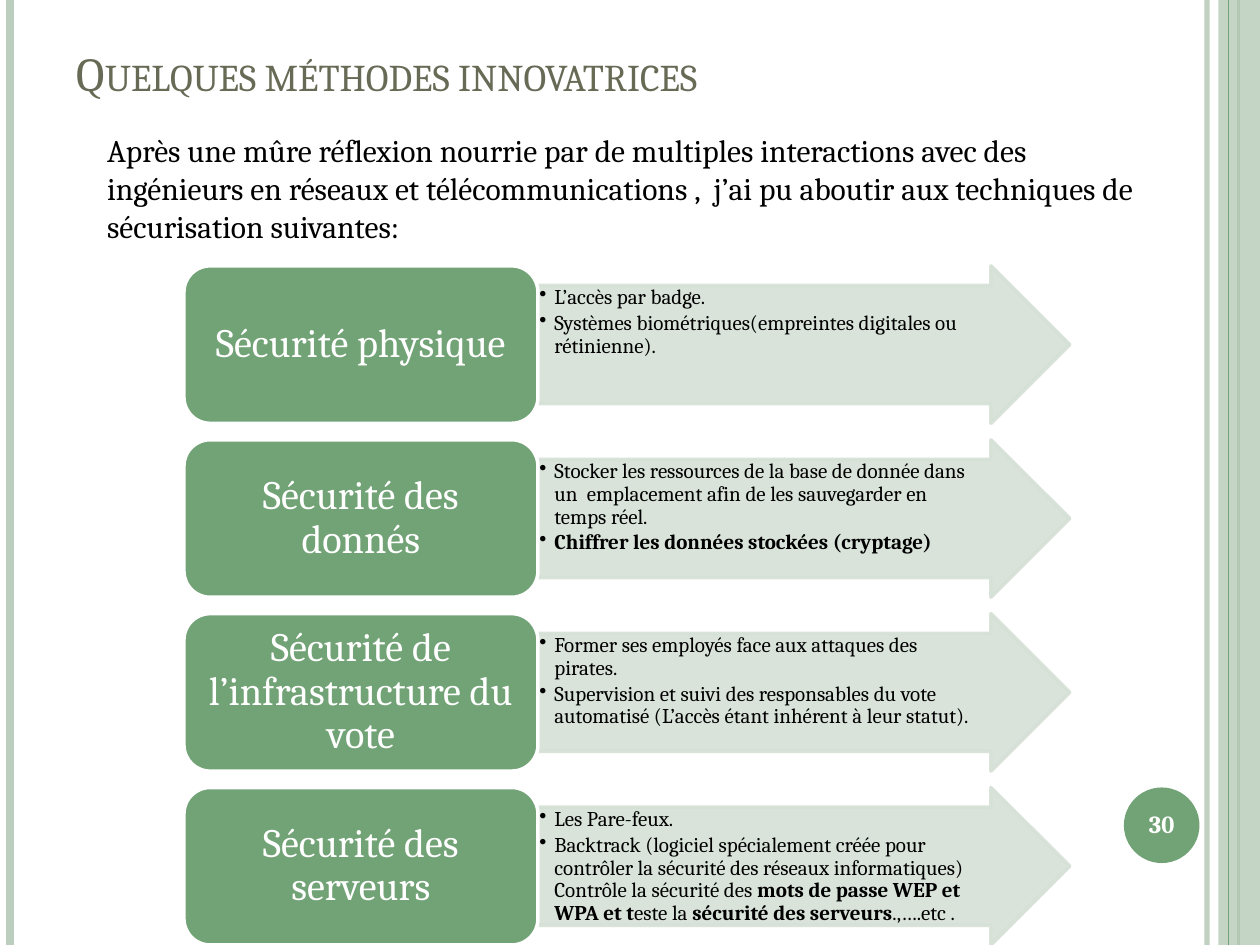
from lxml.etree import SubElement
from pptx import Presentation
from pptx.dml.color import RGBColor
from pptx.enum.shapes import MSO_CONNECTOR, MSO_SHAPE
from pptx.enum.text import MSO_ANCHOR, MSO_AUTO_SIZE, PP_ALIGN
from pptx.oxml.ns import qn
from pptx.util import Inches, Pt

FONT = "Cambria"
COLORS = {
    "green": "72A376",
    "stripe": "BCCEBD",
    "arrow": "D5E0D6",
    "title": "676A55",
    "black": "000000",
    "white": "FFFFFF",
}
# x, width in points, colour, opacity
FRAME_LINES = [
    (9.58, 3, "stripe", 93),
    (0.08, 4.5, "stripe", 100),
    (9.83, 1.5, "green", 100),
]
INTRO = (
    "Après une mûre réflexion nourrie par de multiples interactions avec des "
    "ingénieurs en réseaux et télécommunications ,  j’ai pu aboutir aux "
    "techniques de sécurisation suivantes:"
)
# Each bullet is a list of (text, bold) spans.
METHODS = [
    ("Sécurité physique", [
        [("L’accès par badge.", False)],
        [("Systèmes biométriques(empreintes digitales ou rétinienne).", False)],
    ]),
    ("Sécurité des donnés", [
        [("Stocker les ressources de la base de donnée dans un  emplacement "
          "afin de les sauvegarder en temps réel.", False)],
        [("Chiffrer les données stockées (cryptage)", True)],
    ]),
    ("Sécurité de l’infrastructure du vote", [
        [("Former ses employés face aux attaques des pirates.", False)],
        [("Supervision et suivi des responsables du vote automatisé "
          "(L’accès étant inhérent à leur statut).", False)],
    ]),
    ("Sécurité des serveurs", [
        [("Les Pare-feux.", False)],
        [("Backtrack (logiciel spécialement créée pour contrôler la sécurité "
          "des réseaux informatiques) Contrôle la sécurité des ", False),
         ("mots de passe WEP et WPA et t", True),
         ("este la", False),
         (" sécurité des serveurs", True),
         (".,….etc .", False)],
    ]),
]
ROW_TOP, ROW_STEP, ROW_HEIGHT = 2.11, 1.38, 1.25
LABEL_LEFT, LABEL_WIDTH, ARROW_WIDTH = 1.46, 2.81, 4.22


def paint(color_format, name, opacity=100):
    """Set a solid fill or line colour, with its opacity in percent."""
    color_format.solid()
    color_format.fore_color.rgb = RGBColor.from_string(COLORS[name])
    if opacity < 100:
        parent = color_format._xPr.find(qn("a:solidFill"))
        SubElement(parent[0], qn("a:alpha"), val=str(opacity * 1000))


def place(shape, left, top, width, height):
    shape.left, shape.top = Inches(left), Inches(top)
    shape.width, shape.height = Inches(width), Inches(height)


def style_span(span, size, color, bold=False):
    span.font.name = FONT
    span.font.size = Pt(size)
    span.font.bold = bold
    span.font.color.rgb = RGBColor.from_string(COLORS[color])


def set_insets(frame, left, top, right, bottom):
    frame.margin_left, frame.margin_top = Inches(left), Inches(top)
    frame.margin_right, frame.margin_bottom = Inches(right), Inches(bottom)


def add_vertical_line(page, x, width, color, opacity=100):
    line = page.shapes.add_connector(
        MSO_CONNECTOR.STRAIGHT, Inches(x), 0, Inches(x), Inches(7.5))
    line.line.width = Pt(width)
    paint(line.line.fill, color, opacity)
    SubElement(line._element.spPr, qn("a:effectLst"))


def add_block(page, kind, bounds, color, opacity=100, outline=None):
    """Add a filled preset shape; an outline is (colour, opacity)."""
    block = page.shapes.add_shape(kind, *map(Inches, bounds))
    block.shadow.inherit = False
    paint(block.fill, color, opacity)
    if outline:
        block.line.width = Pt(2)
        paint(block.line.fill, *outline)
    else:
        block.line.fill.background()
    block.text_frame.word_wrap = True
    return block


def write_centred(block, text, size, bold=False):
    frame = block.text_frame
    frame.text = text
    frame.vertical_anchor = MSO_ANCHOR.MIDDLE
    para = frame.paragraphs[0]
    para.alignment = PP_ALIGN.CENTER
    para.line_spacing = 0.9
    style_span(para.runs[0], size, "white", bold)


def write_bullets(block, bullets):
    frame = block.text_frame
    frame.vertical_anchor = MSO_ANCHOR.TOP
    set_insets(frame, 0.01, 0.01, 0.32, 0.01)
    for index, spans in enumerate(bullets):
        para = frame.add_paragraph() if index else frame.paragraphs[0]
        properties = para._p.get_or_add_pPr()
        properties.set("marL", str(Inches(0.12)))
        properties.set("indent", str(-Inches(0.12)))
        SubElement(properties, qn("a:buChar"), char="•")
        para.alignment = PP_ALIGN.LEFT
        para.line_spacing = 0.9
        para.space_after = Pt(1.8)
        for text, bold in spans:
            span = para.add_run()
            span.text = text
            style_span(span, 12, "black", bold)


def add_frame(page):
    for line in FRAME_LINES:
        add_vertical_line(page, *line)
    add_block(page, MSO_SHAPE.RECTANGLE, (9.67, 0, 0.33, 7.5), "stripe", 87)
    add_vertical_line(page, 9.75, 0.75, "green")
    badge = add_block(page, MSO_SHAPE.OVAL, (8.92, 6.25, 0.6, 0.6), "green")
    set_insets(badge.text_frame, 0, 0, 0, 0)
    write_centred(badge, "30", 14, True)


def fill_placeholder(holder, text, bounds, anchor, size, color):
    place(holder, *bounds)
    frame = holder.text_frame
    frame.text = text
    frame.word_wrap = True
    frame.auto_size = MSO_AUTO_SIZE.NONE
    frame.vertical_anchor = anchor
    para = frame.paragraphs[0]
    properties = para._p.get_or_add_pPr()
    properties.set("marL", "0")
    properties.set("indent", "0")
    SubElement(properties, qn("a:buNone"))
    para.alignment = PP_ALIGN.LEFT
    para.space_before = Pt(0)
    style_span(para.runs[0], size, color)
    return para.runs[0]


def add_method(page, top, label, bullets):
    arrow = add_block(
        page, MSO_SHAPE.RIGHT_ARROW,
        (LABEL_LEFT + LABEL_WIDTH, top, ARROW_WIDTH, ROW_HEIGHT),
        "arrow", 90, ("arrow", 90))
    arrow.adjustments[0] = 0.75
    write_bullets(arrow, bullets)
    box = add_block(
        page, MSO_SHAPE.ROUNDED_RECTANGLE,
        (LABEL_LEFT, top, LABEL_WIDTH, ROW_HEIGHT),
        "green", outline=("white", 100))
    write_centred(box, label, 23)


def main():
    deck = Presentation()
    deck.slide_width, deck.slide_height = Inches(10), Inches(7.5)
    page = deck.slides.add_slide(deck.slide_layouts[1])
    add_frame(page)
    title = fill_placeholder(
        page.shapes.title, "Quelques méthodes innovatrices",
        (0.51, 0.29, 8.17, 0.56), MSO_ANCHOR.BOTTOM, 27, "title")
    title.font._element.set("cap", "small")
    fill_placeholder(
        page.placeholders[1], INTRO,
        (0.75, 0.99, 8.43, 1.01), MSO_ANCHOR.TOP, 18, "black")
    for row, (label, bullets) in enumerate(METHODS):
        add_method(page, ROW_TOP + row * ROW_STEP, label, bullets)
    deck.save("out.pptx")


if __name__ == "__main__":
    main()
